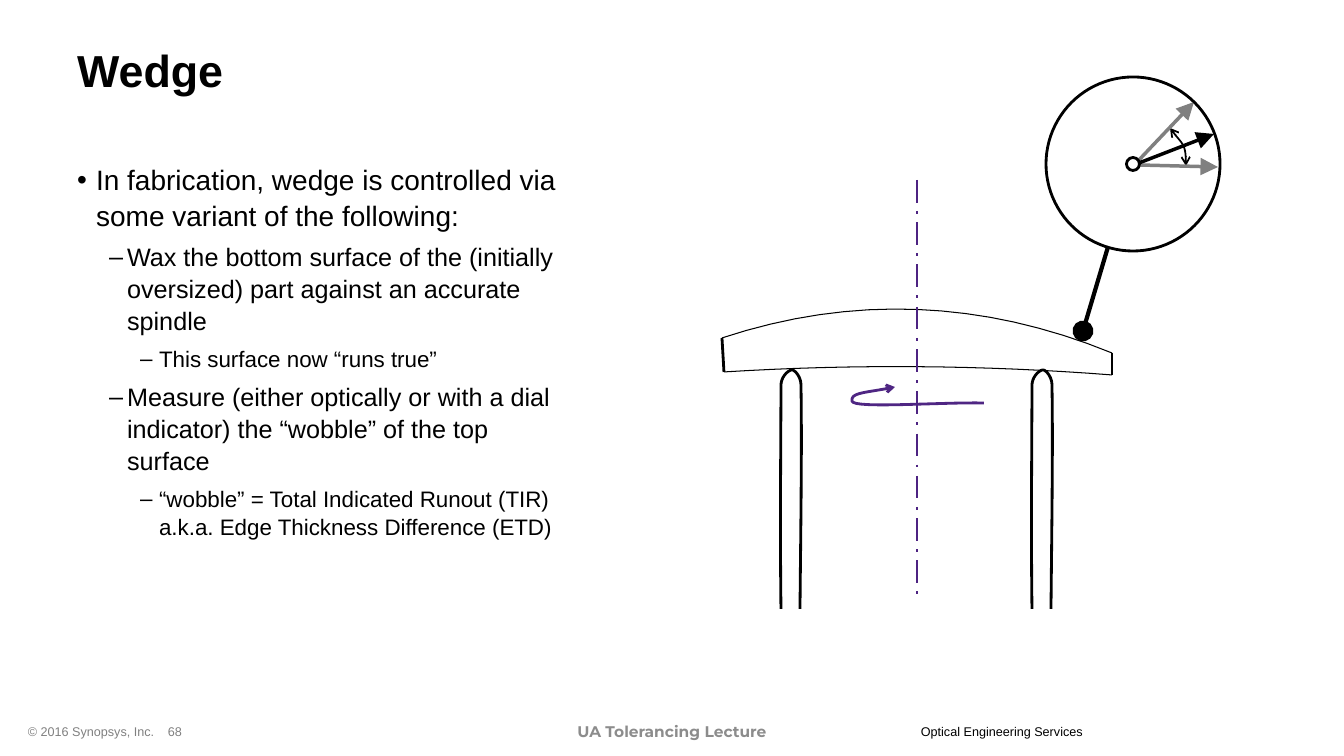
from lxml import etree
from pptx import Presentation
from pptx.dml.color import RGBColor
from pptx.enum.dml import MSO_LINE
from pptx.enum.shapes import MSO_CONNECTOR, MSO_SHAPE
from pptx.enum.text import MSO_ANCHOR, MSO_AUTO_SIZE, PP_ALIGN
from pptx.oxml.ns import qn
from pptx.util import Pt

PX = 914400 / 100.8
STRAIGHT, OVAL = MSO_CONNECTOR.STRAIGHT, MSO_SHAPE.OVAL
LEFT, CENTER = PP_ALIGN.LEFT, PP_ALIGN.CENTER
TOP, MIDDLE = MSO_ANCHOR.TOP, MSO_ANCHOR.MIDDLE
NO_FIT = MSO_AUTO_SIZE.NONE
DASH_DOT = MSO_LINE.LONG_DASH_DOT

BLACK = RGBColor(0x00, 0x00, 0x00)
GRAY = RGBColor(0x80, 0x80, 0x80)
FOOTER_GRAY = RGBColor(0x8C, 0x8C, 0x8C)
PURPLE = RGBColor(0x4F, 0x26, 0x83)
AXIS_PURPLE = RGBColor(0x4D, 0x23, 0x82)

TITLE = "Wedge"
TITLE_BOX = (67, 7, 1277, 126)
BODY_BOX = (67, 156, 513, 534)
BULLETS = [
    (0, "In fabrication, wedge is controlled via some variant of the following:"),
    (1, "Wax the bottom surface of the (initially oversized) part against an accurate spindle"),
    (2, "This surface now “runs true”"),
    (1, "Measure (either optically or with a dial indicator) the “wobble” of the top surface"),
    (2, "“wobble” = Total Indicated Runout (TIR) a.k.a. Edge Thickness Difference (ETD)"),
]
# level: size in points, text indent px, hanging px, bullet
LEVELS = [(20, 19, 19, "•"), (18, 50, 18, "–"), (16, 82, 19, "–")]

# text, box, anchor, alignment, font
FOOTERS = [
    ("© 2016 Synopsys, Inc.", (18, 719, 414, 25), TOP, LEFT,
     dict(name="Arial", size=Pt(9), bold=False), GRAY),
    ("68", (128, 719, 94, 25), TOP, CENTER,
     dict(name="Arial", size=Pt(9), bold=False), GRAY),
    ("Optical Engineering Services", (911, 719, 195, 25), TOP, LEFT,
     dict(name="Arial", size=Pt(9), bold=False), BLACK),
    ("UA Tolerancing Lecture", (453, 711, 438, 40), MIDDLE, CENTER,
     dict(name="Montserrat", size=Pt(11), bold=True), FOOTER_GRAY),
]

# Each curve is a start point followed by three points per Bezier piece
LENS_TOP = [(722, 338), (852, 295), (982, 300), (1112, 353)]
LENS_BOTTOM = [(724, 372), (853, 364), (983, 365), (1112, 375)]
PILLAR = [(781, 609), (780, 517), (781, 434), (781, 386),
          (781, 376), (789, 370), (792, 370),
          (795, 370), (801, 377), (801, 385),
          (802, 434), (801, 517), (800, 609)]
PILLAR_STEP = 251
SPIN = [(984, 403), (940, 402), (853, 409), (852, 401),
        (851, 392), (866, 393), (895, 387)]
SWEEP = [(1170, 128), (1183, 146), (1186, 142), (1186, 166)]

# points, colour, width, line ends as (tag, type, size)
ARROW_TAIL = ("tailEnd", "arrow", "med")
CURVES = [
    (LENS_TOP, BLACK, 0, []),
    (LENS_BOTTOM, BLACK, 0, []),
    (PILLAR, BLACK, 2, []),
    ([(x + PILLAR_STEP, y) for x, y in PILLAR], BLACK, 2, []),
    (SWEEP, BLACK, 1.25, [("headEnd", "arrow", "med"), ARROW_TAIL]),
    (SPIN, PURPLE, 2, [ARROW_TAIL]),
]

# start, end, colour, width, line ends, dash
NEEDLE_TIP = [("tailEnd", "triangle", "lg")]
LINES = [
    ((1112, 353), (1112, 375), BLACK, 0, [], None),
    ((722, 338), (724, 372), BLACK, 0, [], None),
    ((1108, 247), (1083, 331), BLACK, 3, [("tailEnd", "oval", "lg")], None),
    ((1139, 160), (1194, 102), GRAY, 2.5, NEEDLE_TIP, None),
    ((1139, 165), (1218, 167), GRAY, 2.5, NEEDLE_TIP, None),
    ((1139, 163), (1214, 134), BLACK, 2.5, NEEDLE_TIP, None),
    ((917, 180), (917, 598), AXIS_PURPLE, 2, [], DASH_DOT),
]
DIAL_CENTER = (1133, 164)
DIAL_DIAMETERS = [174, 13]


def emu(*lengths):
    return [round(length * PX) for length in lengths]


def apply(target, values):
    for name, value in values.items():
        setattr(target, name, value)


def place(box, rect):
    apply(box, dict(zip(("left", "top", "width", "height"), emu(*rect))))


def write(para, text, font, color):
    span = para.add_run()
    span.text = text
    apply(span.font, font)
    span.font.color.rgb = color


def set_frame(frame, anchor):
    apply(frame, dict(word_wrap=True, auto_size=NO_FIT, vertical_anchor=anchor))


def set_line(shape, color, width, ends=(), dash=None):
    shape.line.color.rgb = color
    shape.line.width = Pt(width)
    if dash is not None:
        shape.line.dash_style = dash
    outline = shape._element.spPr.find(qn("a:ln"))
    for tag, kind, size in ends:
        etree.SubElement(outline, qn("a:" + tag), type=kind, w=size, len=size)


def bezier_points(curve, steps=16):
    """Sample a chain of cubic Bezier pieces."""
    points = [curve[0]]
    for first in range(0, len(curve) - 1, 3):
        piece = curve[first:first + 4]
        for step in range(1, steps + 1):
            t = step / steps
            weights = ((1 - t) ** 3, 3 * t * (1 - t) ** 2, 3 * t * t * (1 - t), t ** 3)
            points.append(tuple(sum(w * p[axis] for w, p in zip(weights, piece))
                                for axis in (0, 1)))
    return points


def add_curve(page, curve, color, width, ends):
    start, *rest = [emu(*point) for point in bezier_points(curve)]
    builder = page.shapes.build_freeform(*start)
    builder.add_line_segments(rest, close=False)
    shape = builder.convert_to_shape()
    shape.shadow.inherit = False
    shape.fill.background()
    set_line(shape, color, width, ends)


def add_line(page, start, end, color, width, ends, dash):
    line = page.shapes.add_connector(STRAIGHT, *emu(*start, *end))
    set_line(line, color, width, ends, dash)
    etree.SubElement(line._element.spPr, qn("a:effectLst"))


def add_dial_circle(page, diameter):
    x, y = (center - diameter / 2 for center in DIAL_CENTER)
    circle = page.shapes.add_shape(OVAL, *emu(x, y, diameter, diameter))
    circle.shadow.inherit = False
    circle.fill.background()
    set_line(circle, BLACK, 2)


def fill_title(box):
    place(box, TITLE_BOX)
    set_frame(box.text_frame, MIDDLE)
    para = box.text_frame.paragraphs[0]
    para.alignment = LEFT
    write(para, TITLE, dict(name="Arial", size=Pt(32), bold=True), BLACK)


def fill_body(box):
    place(box, BODY_BOX)
    frame = box.text_frame
    set_frame(frame, TOP)
    for index, (level, text) in enumerate(BULLETS):
        size, indent, hanging, bullet = LEVELS[level]
        para = frame.add_paragraph() if index else frame.paragraphs[0]
        apply(para, dict(level=level, alignment=LEFT, line_spacing=1.05,
                         space_before=Pt(6 if index else 0), space_after=Pt(0)))
        properties = para._p.get_or_add_pPr()
        properties.set("marL", str(emu(indent)[0]))
        properties.set("indent", str(emu(-hanging)[0]))
        etree.SubElement(properties, qn("a:buFont"), typeface="Arial")
        etree.SubElement(properties, qn("a:buChar"), char=bullet)
        write(para, text, dict(name="Arial", size=Pt(size)), BLACK)


def main():
    deck = Presentation()
    deck.slide_width, deck.slide_height = emu(1344, 756)
    page = deck.slides.add_slide(deck.slide_layouts[1])
    fill_title(page.shapes.title)
    fill_body(page.placeholders[1])
    for curve in CURVES:
        add_curve(page, *curve)
    for line in LINES:
        add_line(page, *line)
    for diameter in DIAL_DIAMETERS:
        add_dial_circle(page, diameter)
    for text, rect, anchor, alignment, font, color in FOOTERS:
        box = page.shapes.add_textbox(*emu(*rect))
        set_frame(box.text_frame, anchor)
        para = box.text_frame.paragraphs[0]
        para.alignment = alignment
        write(para, text, font, color)
    deck.save("out.pptx")


if __name__ == "__main__":
    main()
